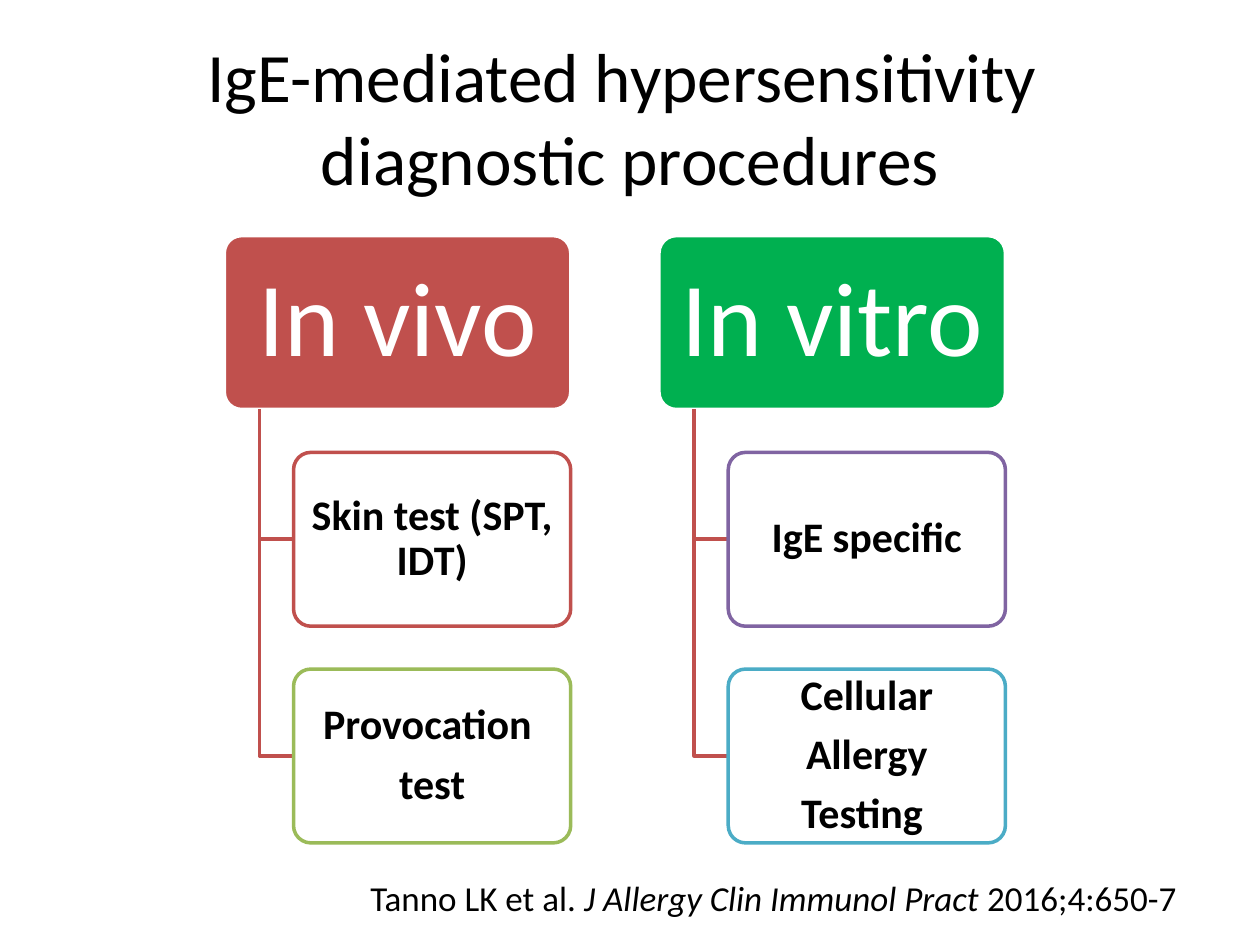
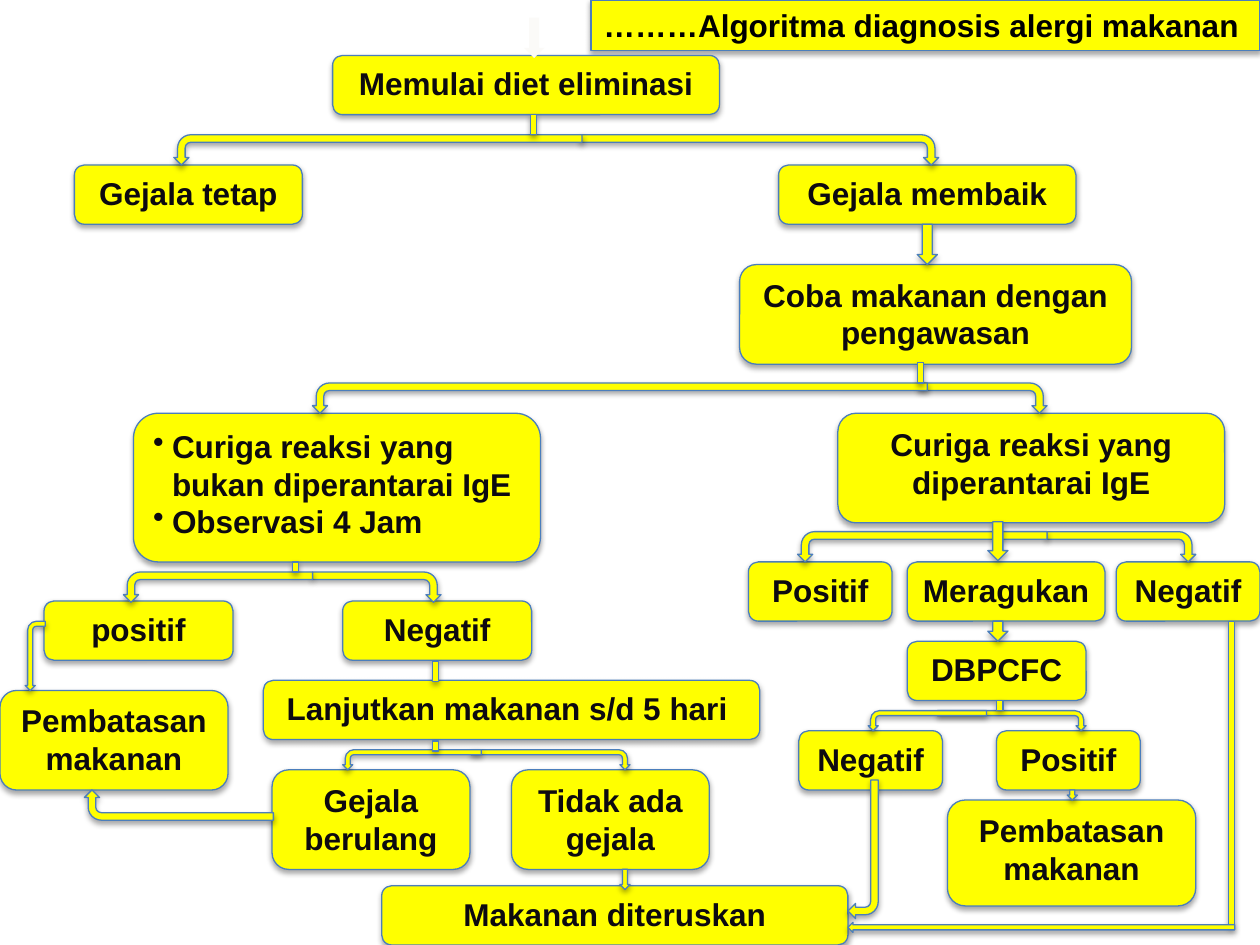
"""Build two slides on allergy diagnosis: test procedures and a food allergy algorithm."""
from lxml import etree
from pptx import Presentation
from pptx import util as u
from pptx.dml.color import RGBColor
from pptx.enum import shapes, text
from pptx.oxml import ns

COLOURS = {
    "white": "FFFFFF", "black": "000000", "red": "C0504D", "green": "00B050",
    "olive": "9BBB59", "purple": "8064A2", "aqua": "4BACC6",
    "yellow": "FFFF00", "blue": "4B7EBC", "ink": "0D0A10", "pale": "FBFAF8",
}
SHAPE = shapes.MSO_SHAPE
LEFT, CENTER = text.PP_ALIGN.LEFT, text.PP_ALIGN.CENTER
TOP, MIDDLE = text.MSO_ANCHOR.TOP, text.MSO_ANCHOR.MIDDLE
FLOW_FONT = {"name": "Arial", "size": u.Pt(18), "bold": True}
STEM_WIDTH = 0.05
NODE_HEIGHT = 0.47


def colour(name):
    return RGBColor.from_string(COLOURS[name])


def assign(target, values):
    for name, value in values.items():
        setattr(target, name, value)


def inches(*lengths):
    return [u.Inches(length) for length in lengths]


class Painter:
    """Hold the style and the current slide, and draw each kind of element."""

    def __init__(self, deck):
        self.deck = deck
        self.page = None

    def new_page(self):
        self.page = self.deck.slides.add_slide(self.deck.slide_layouts[5])

    def fill_text(self, shape, paragraphs, font, ink="black", anchor=TOP,
                  align=CENTER, margins=(0.1, 0.05), **spacing):
        across, down = inches(*margins)
        frame = shape.text_frame
        assign(frame, {
            "auto_size": text.MSO_AUTO_SIZE.NONE, "word_wrap": True,
            "vertical_anchor": anchor, "margin_left": across,
            "margin_right": across, "margin_top": down, "margin_bottom": down,
        })
        for index, content in enumerate(paragraphs):
            para = frame.add_paragraph() if index else frame.paragraphs[0]
            para.text = content
            assign(para, {"alignment": align, **spacing})
            if not index:
                para.space_before = u.Pt(0)
            for span in para.runs:
                assign(span.font, font)
                span.font.color.rgb = colour(ink)

    def paint(self, shape, fill, line=None, width=0.75, shadow=False):
        shape.shadow.inherit = False
        shape.fill.solid()
        shape.fill.fore_color.rgb = colour(fill)
        if line:
            shape.line.color.rgb = colour(line)
            shape.line.width = u.Pt(width)
        else:
            shape.line.fill.background()
        if shadow:
            effects = shape._element.spPr.find(ns.qn("a:effectLst"))
            outer = etree.SubElement(effects, ns.qn("a:outerShdw"), blurRad="40000",
                                     dist="23000", dir="5400000", rotWithShape="0")
            black = etree.SubElement(outer, ns.qn("a:srgbClr"), val=COLOURS["black"])
            etree.SubElement(black, ns.qn("a:alpha"), val="35000")

    def title(self, content, place, font, **layout):
        shape = self.page.shapes.title
        assign(shape, dict(zip(("left", "top", "width", "height"), inches(*place))))
        self.fill_text(shape, [content], font, **layout)
        return shape

    def card(self, place, paragraphs, fill, line, ink, size, margins, bold):
        shape = self.page.shapes.add_shape(SHAPE.ROUNDED_RECTANGLE, *inches(*place))
        shape.adjustments[0] = 0.1
        self.paint(shape, fill, line, 2)
        font = {"name": "Calibri", "size": u.Pt(size), "bold": bold}
        self.fill_text(shape, paragraphs, font, ink, MIDDLE, margins=margins,
                       line_spacing=0.9, space_before=u.Pt(8))

    def bracket(self, left, top, right, bottom):
        left, top, right, bottom = inches(left, top, right, bottom)
        builder = self.page.shapes.build_freeform(left, top)
        builder.add_line_segments([(left, bottom), (right, bottom)], close=False)
        shape = builder.convert_to_shape()
        shape.shadow.inherit = False
        shape.fill.background()
        shape.line.color.rgb = colour("red")
        shape.line.width = u.Pt(2)

    def citation(self, place, spans):
        box = self.page.shapes.add_textbox(*inches(*place))
        box.text_frame.word_wrap = False
        para = box.text_frame.paragraphs[0]
        for content, italic in spans:
            span = para.add_run()
            span.text = content
            assign(span.font, {"name": "Calibri", "size": u.Pt(20), "italic": italic})
            span.font.color.rgb = colour("black")

    def flow(self, kind, left, top, width, height):
        shape = self.page.shapes.add_shape(kind, *inches(left, top, width, height))
        self.paint(shape, "yellow", "blue", shadow=True)
        return shape

    def node(self, content, left, top, width, height=NODE_HEIGHT):
        shape = self.flow(SHAPE.ROUNDED_RECTANGLE, left, top, width, height)
        self.fill_text(shape, [content], FLOW_FONT, "ink")

    def bullets(self, paragraphs, *place):
        shape = self.flow(SHAPE.ROUNDED_RECTANGLE, *place)
        self.fill_text(shape, paragraphs, FLOW_FONT, "ink", align=LEFT)
        indent = u.Inches(0.15)
        for para in shape.text_frame.paragraphs:
            properties = para._p.get_or_add_pPr()
            properties.set("marL", str(indent))
            properties.set("indent", str(-indent))
            etree.SubElement(properties, ns.qn("a:buChar"), char="•")

    def mirror(self, shape, *flips):
        frame = shape._element.spPr.find(ns.qn("a:xfrm"))
        for flip in flips:
            frame.set(flip, "1")

    def bend(self, left, top, width, height, *flips):
        """Draw a quarter-turned bent arrow that covers the given area."""
        shift = (width - height) / 2
        shape = self.flow(SHAPE.BENT_ARROW, left + shift, top - shift, height, width)
        shape.rotation = 90
        self.mirror(shape, *flips)

    def fork(self, top, height, left, left_end, right_start, right):
        self.bend(right_start, top, right - right_start, height)
        self.bend(left, top, left_end - left, height, "flipV")

    def stem(self, left, top, height):
        self.flow(SHAPE.RECTANGLE, left, top, STEM_WIDTH, height)


def draw_procedures(painter):
    painter.new_page()
    painter.title("IgE-mediated hypersensitivity \vdiagnostic procedures",
                  (0.24, 0.3, 9.52, 1.25),
                  {"name": "Calibri", "size": u.Pt(39.6)}, anchor=MIDDLE)
    branches = [
        ("In vivo", "red", [(["Skin test (SPT, IDT)"], "red"),
                            (["Provocation ", "test"], "olive")]),
        ("In vitro", "green", [(["IgE specific"], "purple"),
                               (["Cellular", "Allergy", "Testing "], "aqua")]),
    ]
    top, height, step = 1.87, 1.38, 1.72
    for column, (heading, fill, tests) in enumerate(branches):
        left = 1.78 + 3.45 * column
        painter.card((left, top, 2.75, height), [heading], fill, "white",
                     "white", 60, (0.12, 0.08), False)
        for row, (lines, outline) in enumerate(tests, 1):
            card_top = top + step * row
            card_left = left + 0.55
            painter.bracket(left + 0.28, top + height, card_left, card_top + height / 2)
            painter.card((card_left, card_top, 2.2, height), lines, "white", outline,
                         "black", 24, (0.05, 0.03), True)
    painter.citation((2.84, 6.91, 6.69, 0.44), [
        ("Tanno LK et al. ", False), ("J Allergy Clin Immunol Pract", True),
        (" 2016;4:650-7", False)])


def draw_algorithm(painter):
    painter.new_page()
    banner = painter.title("………Algoritma diagnosis alergi makanan",
                           (4.69, 0, 5.31, 0.4), FLOW_FONT, align=LEFT)
    painter.paint(banner, "yellow", "blue", shadow=True)
    nodes = [
        ("Memulai diet eliminasi", 2.64, 0.44, 3.07),
        ("Gejala tetap", 0.59, 1.31, 1.81),
        ("Gejala membaik", 6.18, 1.31, 2.36),
        ("Coba makanan dengan pengawasan", 5.87, 2.1, 3.11, 0.79),
        ("Curiga reaksi yang diperantarai IgE", 6.65, 3.28, 3.07, 0.87),
        ("Positif", 5.94, 4.46, 1.14),
        ("Meragukan", 7.2, 4.46, 1.57),
        ("Negatif", 8.86, 4.46, 1.14),
        ("positif", 0.35, 4.77, 1.5),
        ("Negatif", 2.72, 4.77, 1.5),
        ("DBPCFC", 7.2, 5.09, 1.42),
        ("Lanjutkan makanan s/d 5 hari ", 2.09, 5.4, 3.94),
        ("Pembatasan makanan", 0, 5.48, 1.81, 0.79),
        ("Negatif", 6.34, 5.8, 1.14),
        ("Positif", 7.91, 5.8, 1.14),
        ("Gejala berulang", 2.16, 6.11, 1.57, 0.79),
        ("Tidak ada gejala", 4.06, 6.11, 1.57, 0.79),
        ("Pembatasan makanan", 7.52, 6.35, 1.97, 0.84),
        ("Makanan diteruskan", 3.03, 7.03, 3.7),
    ]
    for node in nodes:
        painter.node(*node)
    painter.bullets(["Curiga reaksi yang bukan diperantarai IgE", "Observasi 4 Jam"],
                    1.06, 3.28, 3.23, 1.18)

    forks = [
        (1.07, 0.24, 1.38, 4.62, 4.61, 7.45),
        (3.04, 0.24, 2.48, 7.36, 7.29, 8.31),
        (4.22, 0.24, 6.33, 8.31, 8.31, 9.49),
        (4.54, 0.24, 0.98, 2.48, 2.48, 3.5),
        (5.64, 0.16, 6.89, 7.83, 7.44, 8.62),
        (5.95, 0.16, 2.72, 3.82, 3.74, 5),
    ]
    for fork in forks:
        painter.fork(*fork)
    stems = [(4.21, 0.91, 0.16), (7.28, 2.88, 0.16), (2.32, 4.46, 0.08),
             (3.43, 5.25, 0.16), (3.43, 5.88, 0.08), (7.91, 5.56, 0.08),
             (9.75, 4.93, 2.41)]
    for stem in stems:
        painter.stem(*stem)
    down_arrows = [(7.28, 1.78, 0.16, 0.32), (7.84, 4.14, 0.16, 0.31),
                   (7.84, 4.93, 0.16, 0.16), (4.92, 6.9, 0.08, 0.16),
                   (8.47, 6.27, 0.08, 0.08)]
    for arrow in down_arrows:
        painter.flow(SHAPE.DOWN_ARROW, *arrow)

    painter.bend(0.2, 4.93, 0.16, 0.55, "flipV")
    painter.bend(0.67, 6.27, 1.5, 0.24, "flipH", "flipV")
    painter.flow(SHAPE.BENT_ARROW, 6.73, 6.19, 0.24, 1.1).rotation = 180
    painter.mirror(painter.flow(SHAPE.RIGHT_ARROW, 6.73, 7.32, 3.07, 0.08), "flipH")
    entry = painter.page.shapes.add_shape(SHAPE.DOWN_ARROW, *inches(4.16, 0.14, 0.16, 0.32))
    painter.paint(entry, "pale")


def main():
    deck = Presentation()
    assign(deck, {"slide_width": u.Inches(10), "slide_height": u.Inches(7.5)})
    painter = Painter(deck)
    draw_procedures(painter)
    draw_algorithm(painter)
    deck.save("out.pptx")


if __name__ == "__main__":
    main()
